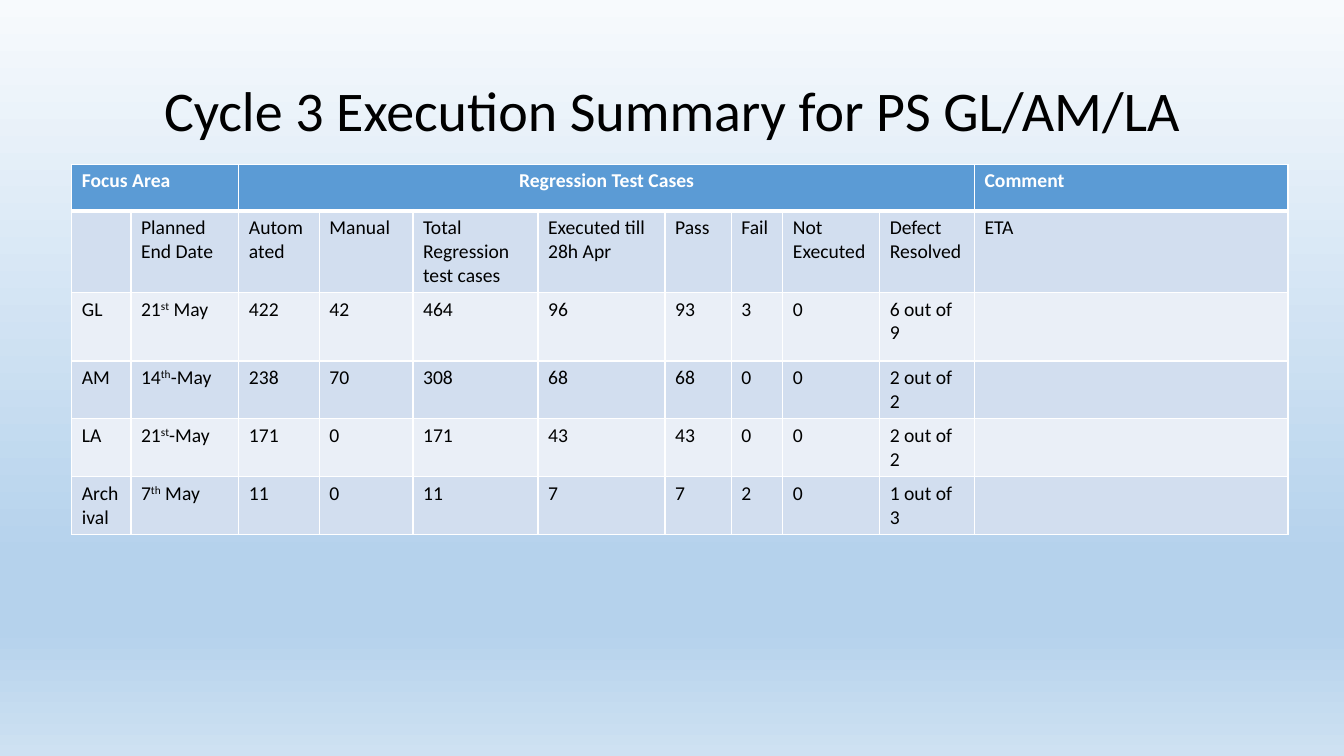
from lxml.etree import SubElement
from pptx import Presentation
from pptx.dml.color import RGBColor
from pptx.enum.text import MSO_ANCHOR, PP_ALIGN
from pptx.oxml.ns import qn
from pptx.util import Cm, Pt

TITLE = "Cycle 3 Execution Summary for PS GL/AM/LA"
HEADINGS = {0: "Focus Area", 2: "Regression Test Cases", 10: "Comment"}
MERGES = [(0, 1), (2, 9)]
ROWS = [
    ["", "Planned End Date", "Automated", "Manual", "Total Regression test cases",
     "Executed till 28h Apr", "Pass", "Fail", "Not Executed", "Defect Resolved", "ETA"],
    ["GL", "21^st^ May", "422", "42", "464", "96", "93", "3", "0", "6 out of 9", ""],
    ["AM", "14^th^-May", "238", "70", "308", "68", "68", "0", "0", "2 out of 2", ""],
    ["LA", "21^st^-May", "171", "0", "171", "43", "43", "0", "0", "2 out of 2", ""],
    ["Archival", "7^th^ May", "11", "0", "11", "7", "7", "2", "0", "1 out of 3", ""],
]
COLUMN_WIDTHS = [1.49, 2.72, 2.03, 2.36, 3.15, 3.2, 1.67, 1.3, 2.44, 2.39, 7.9]
ROW_HEIGHTS = [1.17, 1.73, 1.73, 1.24, 1.24, 1.24]
COLORS = {"header": "5B9BD5", "dark band": "D2DEEF", "light band": "EAEFF7",
          "white": "FFFFFF", "black": "000000"}
BACKGROUND_STOPS = [(0, "F7FAFD"), (74, "B5D2EC"), (83, "B5D2EC"), (100, "CEE1F2")]
FONT = "Calibri"


def color(name):
    return RGBColor.from_string(COLORS[name])


def paint_background(page):
    fill = page.background.fill
    fill.gradient()
    fill.gradient_angle = 270
    stops = page.element.xpath(".//p:bg//a:gsLst")[0]
    for stop in list(stops):
        stops.remove(stop)
    for percent, value in BACKGROUND_STOPS:
        stop = SubElement(stops, qn("a:gs"), pos=str(percent * 1000))
        SubElement(stop, qn("a:srgbClr"), val=value)


def style_text(font, size, color_name, bold=False):
    font.name = FONT
    font.size = Pt(size)
    font.bold = bold
    font.color.rgb = color(color_name)


def add_borders(cell, row):
    properties = cell._tc.get_or_add_tcPr()
    thick_side = {0: "lnB", 1: "lnT"}.get(row)
    for side in ("lnL", "lnR", "lnT", "lnB"):
        width = Pt(3 if side == thick_side else 1)
        line = SubElement(properties, qn(f"a:{side}"), w=str(width))
        fill = SubElement(line, qn("a:solidFill"))
        SubElement(fill, qn("a:srgbClr"), val=COLORS["white"])


def fill_cell(cell, row, text):
    add_borders(cell, row)
    band = "header" if row == 0 else "dark band" if row % 2 else "light band"
    cell.fill.solid()
    cell.fill.fore_color.rgb = color(band)
    para = cell.text_frame.paragraphs[0]
    style_text(para.font, 14, "black")
    for index, part in enumerate(text.split("^") if text else []):
        span = para.add_run()
        span.text = part
        style_text(span.font, 14, "black" if row else "white", row == 0)
        if index % 2:
            span.font._element.set("baseline", "30000")


def add_title(page):
    title = page.shapes.title
    title.left, title.top, title.width, title.height = Cm(2.33), Cm(1.01), Cm(29.21), Cm(3.68)
    title.text_frame.text = TITLE
    title.text_frame.vertical_anchor = MSO_ANCHOR.MIDDLE
    para = title.text_frame.paragraphs[0]
    para.alignment = PP_ALIGN.CENTER
    para.line_spacing = 0.9
    style_text(para.runs[0].font, 40, "black")


def add_summary(page):
    headings = [HEADINGS.get(column, "") for column in range(len(COLUMN_WIDTHS))]
    rows = [headings] + ROWS
    table = page.shapes.add_table(
        len(rows), len(COLUMN_WIDTHS), Cm(1.81), Cm(4.14),
        Cm(sum(COLUMN_WIDTHS)), Cm(sum(ROW_HEIGHTS))).table
    for column, width in zip(table.columns, COLUMN_WIDTHS):
        column.width = Cm(width)
    for row, height in zip(table.rows, ROW_HEIGHTS):
        row.height = Cm(height)
    for row, texts in enumerate(rows):
        for column, text in enumerate(texts):
            fill_cell(table.cell(row, column), row, text)
    for first, last in MERGES:
        table.cell(0, first).merge(table.cell(0, last))
    table.cell(0, 2).text_frame.paragraphs[0].alignment = PP_ALIGN.CENTER


def main():
    deck = Presentation()
    deck.slide_width, deck.slide_height = Cm(33.87), Cm(19.05)
    page = deck.slides.add_slide(deck.slide_layouts[5])
    paint_background(page)
    add_title(page)
    add_summary(page)
    deck.save("out.pptx")


if __name__ == "__main__":
    main()
